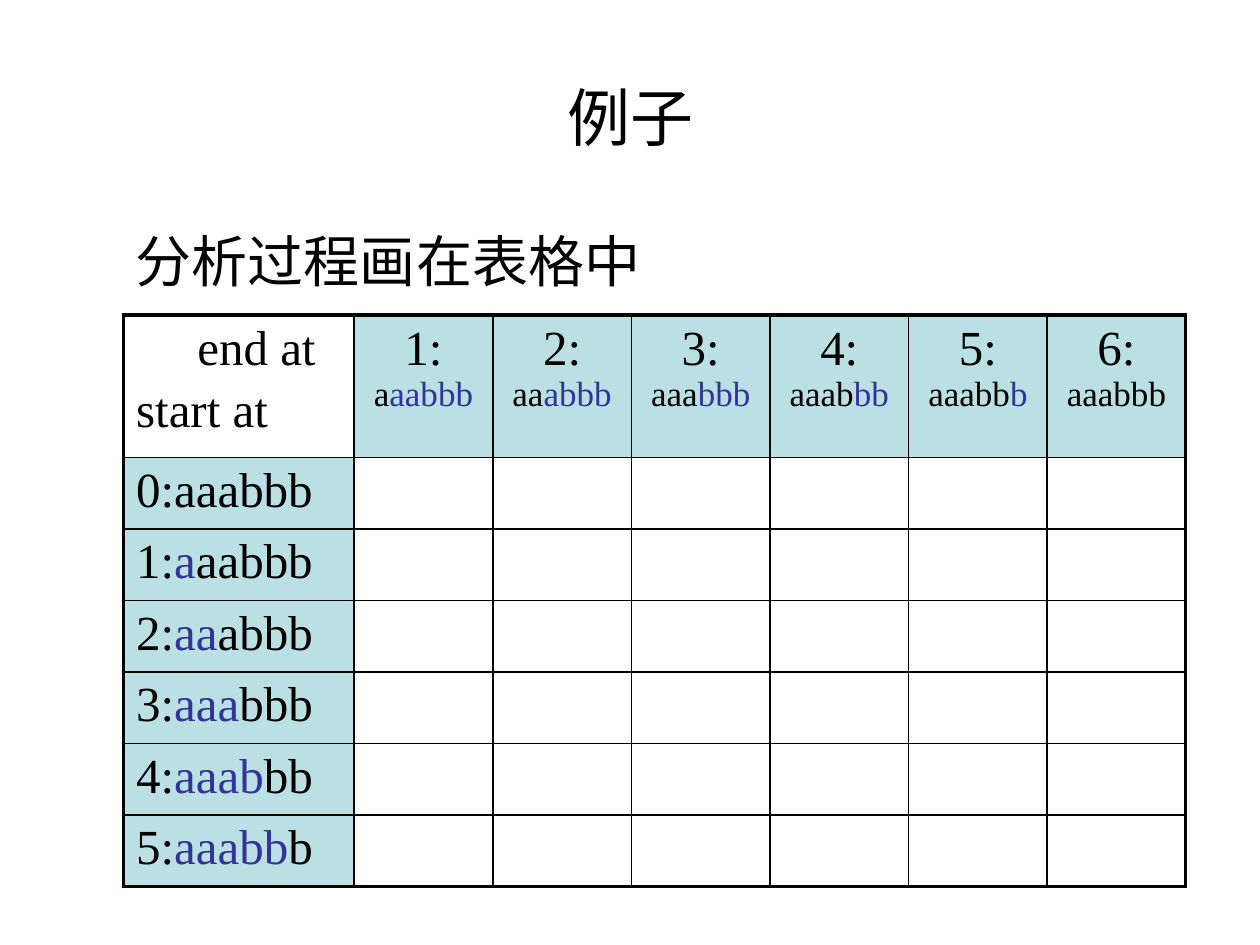
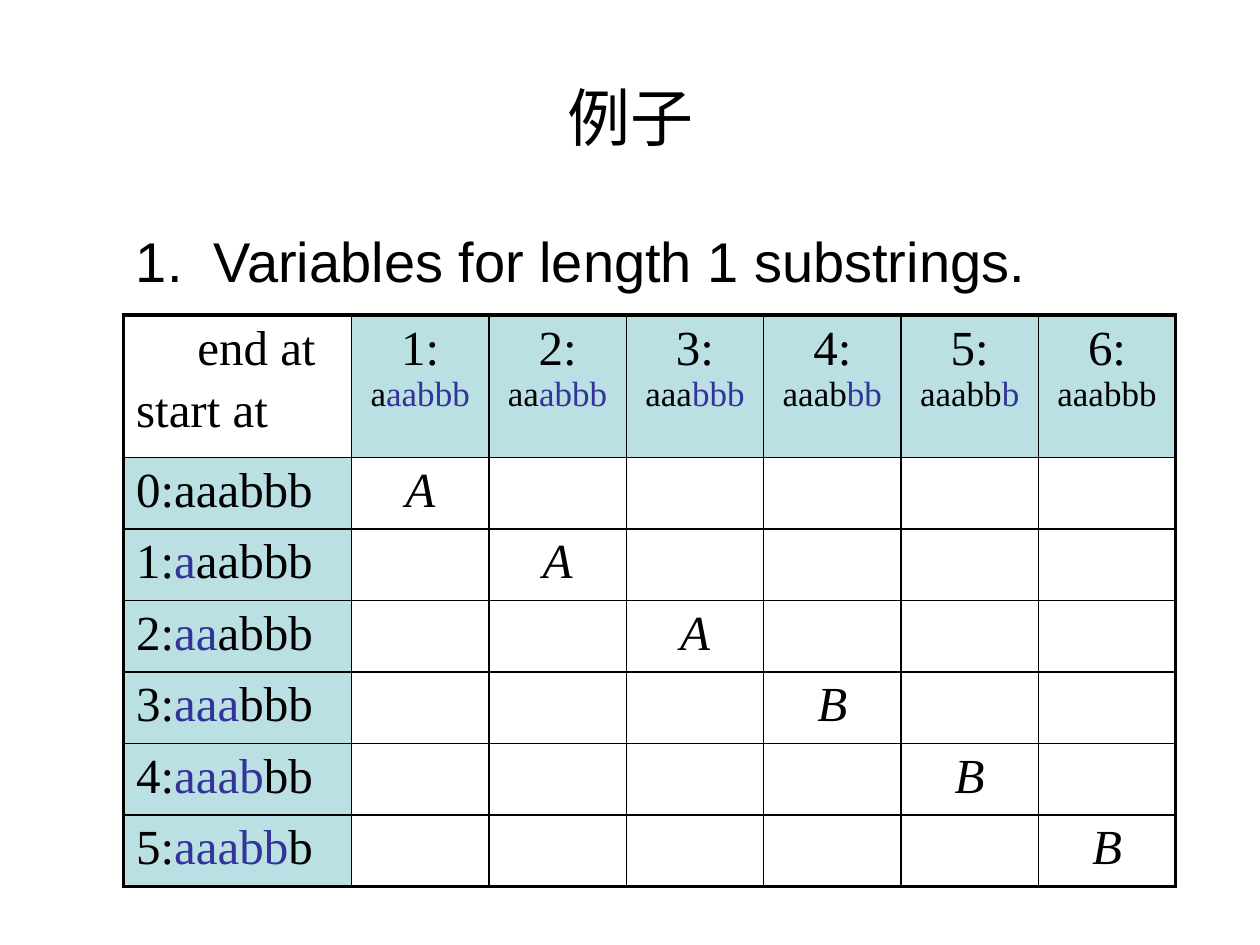
from dataclasses import dataclass
from lxml.etree import SubElement
from pptx import Presentation
from pptx.dml.color import RGBColor
from pptx.enum.text import MSO_ANCHOR, PP_ALIGN
from pptx.oxml.ns import qn
from pptx.util import Pt

WORD = "aaabbb"
SLIDES = [
    {"title": "例子", "lead": "分析过程画在表格中", "first": 131.8, "rest": 79.2, "marks": ""},
    {"title": "例子", "lead": "1.\tVariables for length 1 substrings.",
     "first": 130.3, "rest": 78.5, "marks": "AAABBB"},
]
LEFT, TOP = 70.6, 180
HEAD, ROW = 81.36, 40.8


@dataclass(frozen=True)
class Theme:
    ink: str = "000000"
    blue: str = "333399"
    teal: str = "BBE0E3"
    sans: str = "Arial"
    serif: str = "Times New Roman"
    title: float = 36
    lead: float = 32
    cell: float = 28
    small: float = 20
    thin: float = 1
    thick: float = 2.25


T = Theme()


def add_run(para, text, size=T.cell, color=T.ink, face=T.serif, slant=False):
    if not text:
        return
    run = para.add_run()
    run.text = text
    font = run.font
    font.name, font.size, font.italic = face, Pt(size), slant
    font.color.rgb = RGBColor.from_string(color)


def add_title(slide, text):
    box = slide.shapes.title
    box.left, box.top, box.width, box.height = Pt(36), Pt(21.6), Pt(648), Pt(90)
    box.text_frame.vertical_anchor = MSO_ANCHOR.MIDDLE
    para = box.text_frame.paragraphs[0]
    para.alignment = PP_ALIGN.CENTER
    add_run(para, text, T.title, face=T.sans)


def add_lead(slide, text):
    box = slide.shapes.add_textbox(Pt(LEFT), Pt(126), Pt(595.4), Pt(324))
    box.text_frame.word_wrap = True
    para = box.text_frame.paragraphs[0]
    if "\t" in text:
        stops = SubElement(para._p.get_or_add_pPr(), qn("a:tabLst"))
        SubElement(stops, qn("a:tab"), pos=str(Pt(44.5)), algn="l")
    add_run(para, text, T.lead, face=T.sans)


def style_cell(cell, row, col):
    last = len(WORD)
    edges = {"L": col == 0, "R": col == last, "T": row == 0, "B": row == last}
    props = cell._tc.get_or_add_tcPr()
    for side, outer in edges.items():
        line = SubElement(props, qn("a:ln" + side), w=str(Pt(T.thick if outer else T.thin)))
        fill = SubElement(line, qn("a:solidFill"))
        SubElement(fill, qn("a:srgbClr"), val=T.ink)
    if (row == 0) != (col == 0):
        cell.fill.solid()
        cell.fill.fore_color.rgb = RGBColor.from_string(T.teal)
    else:
        cell.fill.background()


def fill_cell(cell, row, col, marks):
    para = cell.text_frame.paragraphs[0]
    if col:
        para.alignment = PP_ALIGN.CENTER
    if row == 0 and col == 0:
        para._p.get_or_add_pPr().set("marL", str(Pt(35)))
        add_run(para, "end at")
        start = cell.text_frame.add_paragraph()
        start.space_before = Pt(5)
        add_run(start, "start at")
    elif row == 0:
        add_run(para, f"{col}: ")
        add_run(para, WORD[:col], T.small)
        add_run(para, WORD[col:], T.small, T.blue)
    elif col == 0:
        skip = row - 1
        add_run(para, f"{skip}:")
        add_run(para, WORD[:skip], color=T.blue)
        add_run(para, WORD[skip:])
    elif row == col and marks:
        add_run(para, marks[row - 1], slant=True)


def add_grid(slide, first, rest, marks):
    count = len(WORD)
    side = count + 1
    frame = slide.shapes.add_table(side, side, Pt(LEFT), Pt(TOP),
                                   Pt(first + count * rest), Pt(HEAD + count * ROW))
    grid = frame.table
    grid.first_row = grid.horz_banding = False
    for num in range(side):
        grid.columns[num].width = Pt(rest if num else first)
        grid.rows[num].height = Pt(ROW if num else HEAD)
    for row in range(side):
        for col in range(side):
            cell = grid.cell(row, col)
            style_cell(cell, row, col)
            fill_cell(cell, row, col, marks)


def main():
    deck = Presentation()
    deck.slide_width, deck.slide_height = Pt(720), Pt(540)
    for page in SLIDES:
        slide = deck.slides.add_slide(deck.slide_layouts[5])
        add_title(slide, page["title"])
        add_lead(slide, page["lead"])
        add_grid(slide, page["first"], page["rest"], page["marks"])
    deck.save("out.pptx")


if __name__ == "__main__":
    main()
